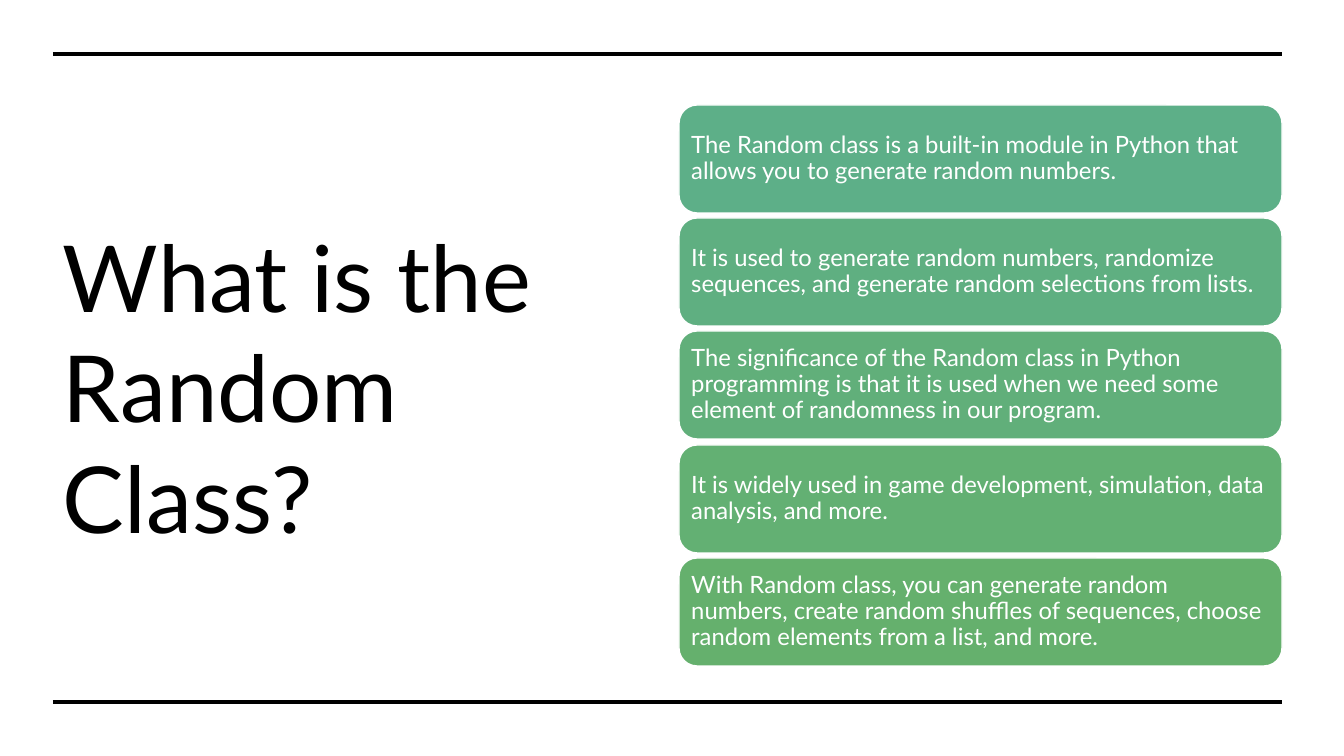
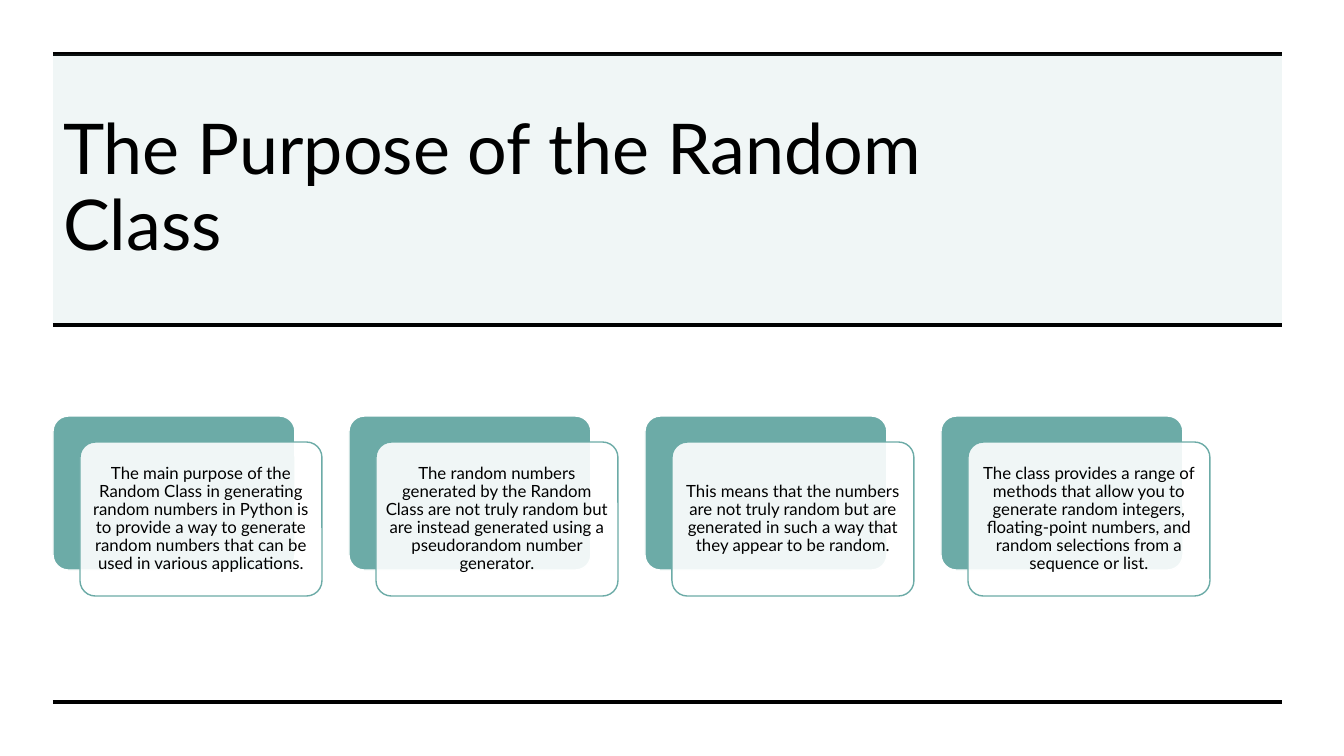
import pptx
import pptx.util
import pptx.dml.color
import pptx.enum.shapes
import pptx.enum.text
import pptx.oxml.ns
import lxml.etree

SCALE = 914400 / 100.8
FONT = "Lato"
BLACK, WHITE, TEAL = "000000", "FFFFFF", "6CABA7"
LEFT, RIGHT = 53, 1282
TOP, BOTTOM = 54, 702
KINDS = pptx.enum.shapes.MSO_SHAPE
ALIGN = pptx.enum.text.PP_ALIGN

FACTS = [
    ("5DAF88", "The Random class is a built-in module in Python that allows you "
               "to generate random numbers."),
    ("5FAF81", "It is used to generate random numbers, randomize sequences, and "
               "generate random selections from lists."),
    ("61AF7A", "The significance of the Random class in Python programming is that "
               "it is used when we need some element of randomness in our program."),
    ("63B073", "It is widely used in game development, simulation, data analysis, "
               "and more."),
    ("65B06D", "With Random class, you can generate random numbers, create random "
               "shuffles of sequences, choose random elements from a list, and more."),
]
CARDS = [
    "The main purpose of the Random Class in generating random numbers in Python "
    "is to provide a way to generate random numbers that can be used in various "
    "applications.",
    "The random numbers generated by the Random Class are not truly random but are "
    "instead generated using a pseudorandom number generator.",
    "This means that the numbers are not truly random but are generated in such a "
    "way that they appear to be random.",
    "The class provides a range of methods that allow you to generate random "
    "integers, floating-point numbers, and random selections from a sequence or "
    "list.",
]


def px(num):
    """Turn pixels into EMU."""
    return pptx.util.Emu(round(num * SCALE))


def tint(code):
    """Turn a hex string into a colour."""
    return pptx.dml.color.RGBColor.from_string(code)


def write(shape, text, size, color=BLACK, align=ALIGN.LEFT, lead=0.9,
          pads=(10, 5, 10, 5)):
    """Put formatted text, centred in height, into a shape."""
    frame = shape.text_frame
    frame.word_wrap = True
    frame.vertical_anchor = pptx.enum.text.MSO_ANCHOR.MIDDLE
    (frame.margin_left, frame.margin_top,
     frame.margin_right, frame.margin_bottom) = map(px, pads)
    par = frame.paragraphs[0]
    par.alignment, par.line_spacing = align, lead
    run = par.add_run()
    run.text = text
    run.font.name, run.font.size = FONT, pptx.util.Pt(size)
    run.font.color.rgb = tint(color)


class Deck:
    """Hold the shared style and the current slide."""

    def __init__(self):
        """Start an empty wide deck."""
        self.show = pptx.Presentation()
        self.show.slide_width, self.show.slide_height = px(1344), px(756)
        self.slide = None

    def page(self):
        """Add a blank slide with its top and bottom rules."""
        self.slide = self.show.slides.add_slide(self.show.slide_layouts[6])
        self.rule(TOP)
        self.rule(BOTTOM)

    def rule(self, y):
        """Draw a black rule across the slide."""
        line = self.slide.shapes.add_connector(
            pptx.enum.shapes.MSO_CONNECTOR.STRAIGHT,
            px(LEFT), px(y), px(RIGHT), px(y))
        line.line.color.rgb = tint(BLACK)
        line.line.width = pptx.util.Pt(2.25)
        lxml.etree.SubElement(line._element.spPr, pptx.oxml.ns.qn("a:effectLst"))

    def title(self, text, box, size, **form):
        """Add a slide title."""
        write(self.slide.shapes.add_textbox(*map(px, box)), text, size, **form)

    def block(self, box, fill, edge=None, kind=KINDS.ROUNDED_RECTANGLE,
              curve=None, alpha=100):
        """Draw a filled shape; alpha is its opacity in percent."""
        shape = self.slide.shapes.add_shape(kind, *map(px, box))
        shape.shadow.inherit = False
        shape.fill.solid()
        shape.fill.fore_color.rgb = tint(fill)
        if alpha < 100:
            node = shape._element.spPr.find(".//" + pptx.oxml.ns.qn("a:srgbClr"))
            lxml.etree.SubElement(node, pptx.oxml.ns.qn("a:alpha"),
                                  val=str(alpha * 1000))
        if edge:
            shape.line.color.rgb = tint(edge)
            shape.line.width = pptx.util.Pt(1)
        else:
            shape.line.fill.background()
        if curve:
            shape.adjustments[0] = curve
        return shape

    def card(self, x, y, text):
        """Draw a teal card with a pale text card over it."""
        wide, high, step = 242, 154, 27
        self.block((x, y, wide, high), TEAL, WHITE, curve=0.1)
        front = self.block((x + step, y + step - 1, wide, high), WHITE, TEAL,
                           curve=0.1, alpha=90)
        write(front, text, 12, align=ALIGN.CENTER, pads=(5,) * 4)


def about(deck):
    """Build the slide that explains the class."""
    deck.page()
    deck.title("What is the Random Class?", (LEFT, 96, 619, 580), 66,
               lead=1, pads=(10, 5, 40, 5))
    for row, (fill, text) in enumerate(FACTS):
        bar = deck.block((679, 105 + row * 567 // 5, 603, 108), fill, WHITE)
        write(bar, text, 17, WHITE, pads=(7,) * 4)


def purpose(deck):
    """Build the slide on the purpose of the class."""
    deck.page()
    split = 325
    deck.block((LEFT, TOP, RIGHT - LEFT, split - TOP), TEAL,
               kind=KINDS.RECTANGLE, alpha=10)
    deck.rule(split)
    deck.title("The Purpose of the Random Class", (LEFT, 108, 927, 164), 50)
    for col, text in enumerate(CARDS):
        deck.card(LEFT + col * 296, 416, text)


deck = Deck()
about(deck)
purpose(deck)
deck.show.save("out.pptx")
